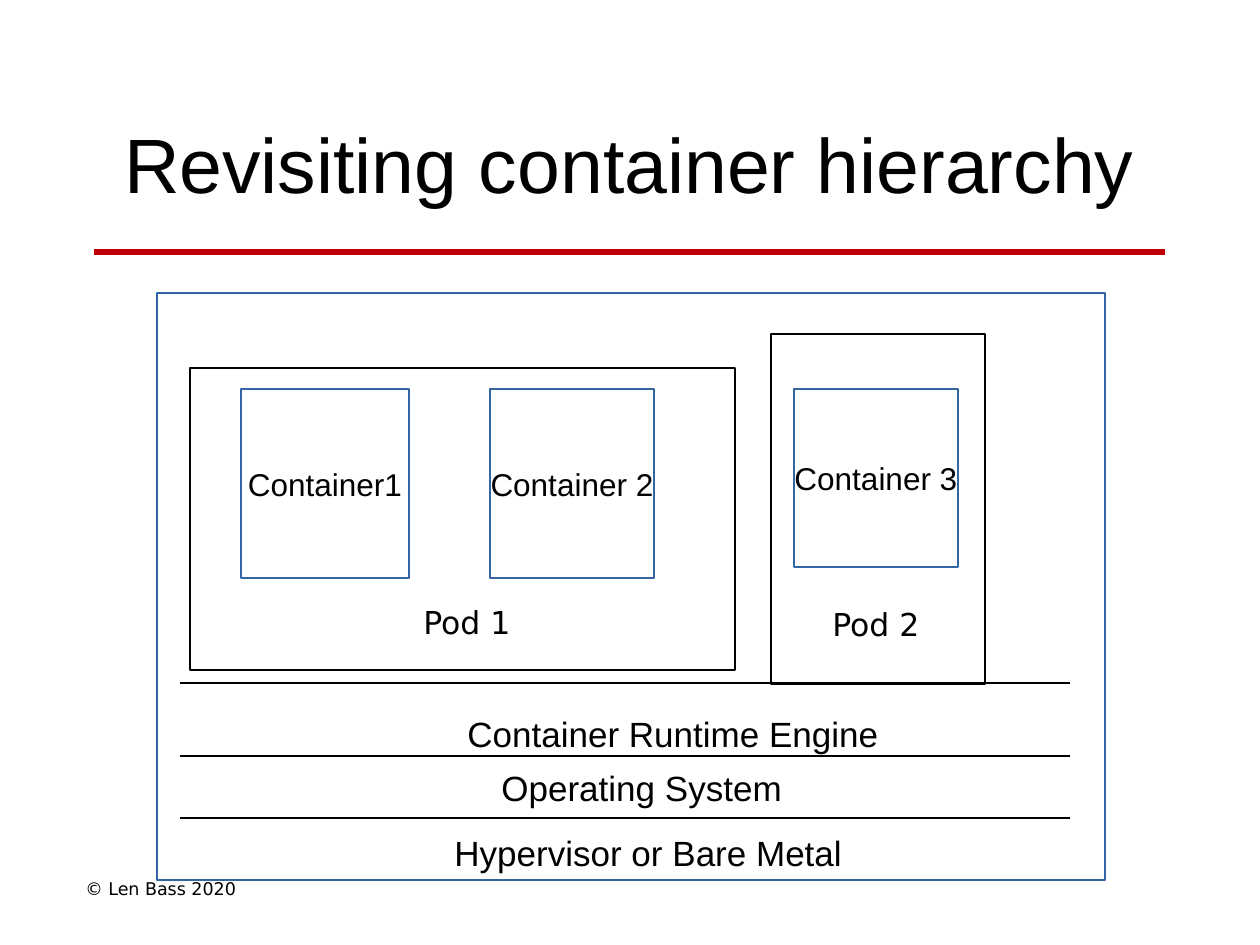
from lxml import etree
from pptx import Presentation
from pptx.dml.color import RGBColor
from pptx.enum.shapes import MSO_CONNECTOR, MSO_SHAPE
from pptx.enum.text import MSO_ANCHOR, MSO_AUTO_SIZE, PP_ALIGN
from pptx.oxml.ns import qn
from pptx.util import Emu, Pt

RECTANGLE = MSO_SHAPE.RECTANGLE
STRAIGHT = MSO_CONNECTOR.STRAIGHT
TOP = MSO_ANCHOR.TOP
MIDDLE = MSO_ANCHOR.MIDDLE
LEFT = PP_ALIGN.LEFT
CENTER = PP_ALIGN.CENTER
FIT_SHAPE = MSO_AUTO_SIZE.SHAPE_TO_FIT_TEXT
FIXED = MSO_AUTO_SIZE.NONE

BLACK = RGBColor(0x00, 0x00, 0x00)
WHITE = RGBColor(0xFF, 0xFF, 0xFF)
BLUE = RGBColor(0x34, 0x65, 0xA4)
RED = RGBColor(0xC0, 0x00, 0x00)

PX_PER_INCH = 126
BLANK_LAYOUT = 6


def px(length):
    return Emu(round(length * 914400 / PX_PER_INCH))


class Diagram:
    font = "Arial"
    label_font = "DejaVu Sans"
    hairline = Pt(0.75)

    def __init__(self, page):
        self.page = page
        self.shapes = page.shapes

    def start_group(self):
        self.shapes = self.page.shapes.add_group_shape().shapes

    def end_group(self):
        self.shapes = self.page.shapes

    def fill_text(self, box, text, size, font, align, anchor, wrap):
        frame = box.text_frame
        frame.word_wrap = wrap
        frame.vertical_anchor = anchor
        para = frame.paragraphs[0]
        para.alignment = align
        span = para.add_run()
        span.text = text
        span.font.name = font
        span.font.size = Pt(size)
        span.font.color.rgb = BLACK

    def text(self, area, text, size, font=font, align=LEFT, anchor=TOP,
             wrap=True, fit=FIXED):
        box = self.shapes.add_textbox(*map(px, area))
        self.fill_text(box, text, size, font, align, anchor, wrap)
        box.text_frame.auto_size = fit

    def label(self, area, text, size, wrap=False):
        self.text(area, text, size, self.label_font, wrap=wrap, fit=FIT_SHAPE)

    def frame(self, area, color, fill=None):
        box = self.shapes.add_shape(RECTANGLE, *map(px, area))
        box.shadow.inherit = False
        if fill is None:
            box.fill.background()
        else:
            box.fill.solid()
            box.fill.fore_color.rgb = fill
        box.line.color.rgb = color
        box.line.width = self.hairline
        return box

    def container(self, area, name):
        box = self.frame(area, BLUE, WHITE)
        self.fill_text(box, name, 18, self.font, CENTER, MIDDLE, False)

    def rule(self, left, right, y, color=BLACK, width=hairline):
        line = self.shapes.add_connector(
            STRAIGHT, px(left), px(y), px(right), px(y))
        line.line.color.rgb = color
        line.line.width = width
        etree.SubElement(line._element.spPr, qn("a:effectLst"))


def main():
    deck = Presentation()
    deck.slide_width = px(1260)
    deck.slide_height = px(945)
    page = deck.slides.add_slide(deck.slide_layouts[BLANK_LAYOUT])
    diagram = Diagram(page)

    diagram.label((73, 872, 273, 34), "© Len Bass 2020", 10, wrap=True)
    diagram.frame((157, 293, 948, 587), BLUE, WHITE)
    diagram.text((94, 84, 1071, 158), "Revisiting container hierarchy", 44,
                 align=CENTER, anchor=MIDDLE)
    diagram.rule(94, 1165, 252, RED, Pt(3))

    layers = [
        (683, (455, 706, 522, 38), "Container Runtime Engine"),
        (756, (489, 760, 413, 40), "Operating System"),
        (818, (442, 825, 413, 40), "Hypervisor or Bare Metal"),
    ]
    for y, area, name in layers:
        diagram.rule(180, 1070, y)
        diagram.text(area, name, 20)

    pods = [
        ((190, 368, 545, 302), (411, 597, 115, 50), "Pod 1",
         [((241, 389, 168, 189), "Container1"),
          ((490, 389, 164, 189), "Container 2")]),
        ((771, 334, 214, 350), (820, 599, 115, 50), "Pod 2",
         [((794, 389, 164, 178), "Container 3")]),
    ]
    for area, label_area, name, containers in pods:
        diagram.start_group()
        diagram.frame(area, BLACK)
        for container_area, container_name in containers:
            diagram.container(container_area, container_name)
        diagram.label(label_area, name, 18)
        diagram.end_group()

    deck.save("out.pptx")


if __name__ == "__main__":
    main()
